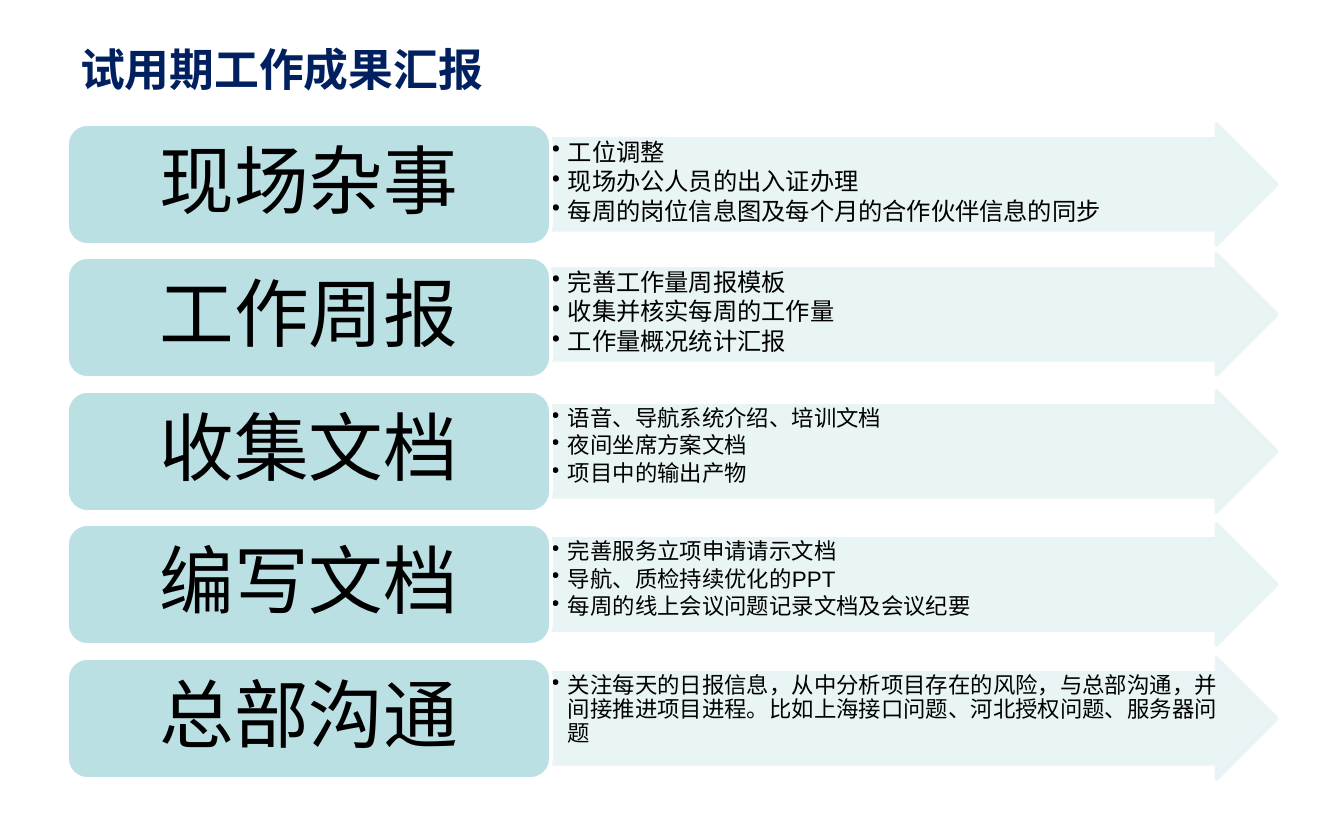
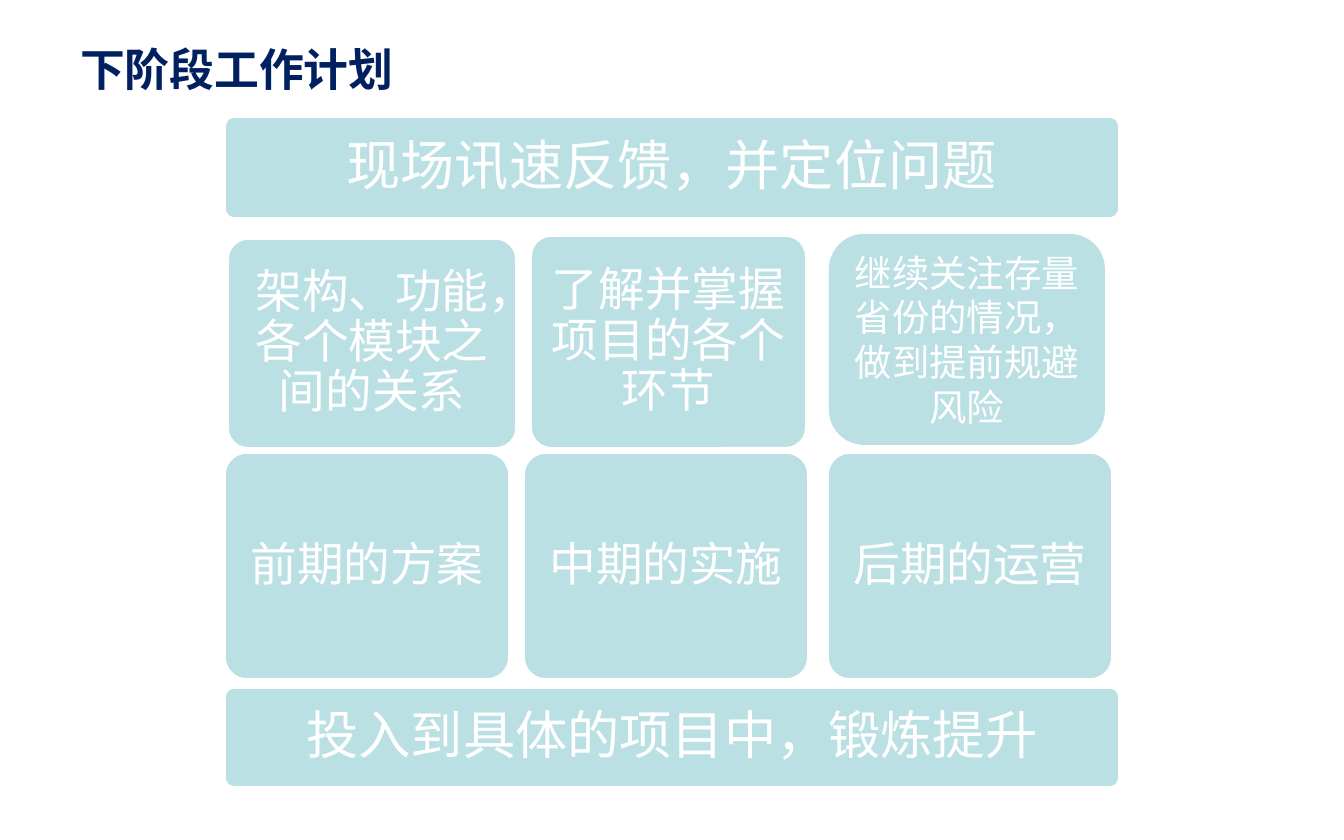
import dataclasses

import lxml.etree
import pptx
import pptx.dml.color
import pptx.enum.lang
import pptx.enum.shapes
import pptx.enum.text
import pptx.oxml.ns
import pptx.util

SHAPE = pptx.enum.shapes.MSO_SHAPE
ALIGN = pptx.enum.text.PP_ALIGN
ANCHOR = pptx.enum.text.MSO_ANCHOR
qn = pptx.oxml.ns.qn


@dataclasses.dataclass(frozen=True)
class Theme:
    # Colours
    navy: str = "002060"
    teal: str = "BBE0E3"
    pale: str = "E7F3F4"
    white: str = "FFFFFF"
    black: str = "000000"
    # Fonts and type sizes
    head: str = "Noto Sans CJK SC"
    body: str = "Arial"
    title: int = 24
    label: int = 40
    card: int = 25
    note: int = 20
    # Line width in points and opacity in percent
    line: int = 2
    alpha: int = 90


THEME = Theme()

# Label, points, point size, shift of the arrow against its label
ROWS = [
    ("现场杂事", ["工位调整", "现场办公人员的出入证办理",
              "每周的岗位信息图及每个月的合作伙伴信息的同步"], 13, 0),
    ("工作周报", ["完善工作量周报模板", "收集并核实每周的工作量",
              "工作量概况统计汇报"], 13, -3),
    ("收集文档", ["语音、导航系统介绍、培训文档", "夜间坐席方案文档",
              "项目中的输出产物"], 12, 0),
    ("编写文档", ["完善服务立项申请请示文档", "导航、质检持续优化的PPT",
              "每周的线上会议问题记录文档及会议纪要"], 12, 0),
    ("总部沟通", ["关注每天的日报信息，从中分析项目存在的风险，与总部沟通，"
              "并间接推进项目进程。比如上海接口问题、河北授权问题、服务器问题"], 12, 0),
]

# Text, box, point size, inset
BANDS = [
    ("现场讯速反馈，并定位问题", (224, 116, 896, 103), 29, 16),
    ("投入到具体的项目中，锻炼提升", (224, 687, 896, 101), 28, 16),
]
CARDS = [
    ("架构、功能，各个模块之间的关系", (227, 238, 290, 211), THEME.card, 13),
    ("了解并掌握项目的各个 环节", (530, 235, 277, 214), THEME.card, 13),
]
STAGES = [("前期的方案", 224), ("中期的实施", 523), ("后期的运营", 827)]


def px(n):
    """Turn pixels into EMU."""
    return pptx.util.Emu(round(n * 914400 / 134.4))


def rgb(code):
    return pptx.dml.color.RGBColor.from_string(code)


def style(para, size, color, font, bold=False):
    for run in para.runs:
        face = run.font
        face.size, face.bold, face.name = pptx.util.Pt(size), bold, font
        face.color.rgb = rgb(color)
        face.language_id = pptx.enum.lang.MSO_LANGUAGE_ID.SIMPLIFIED_CHINESE
        asian = lxml.etree.SubElement(run._r.rPr, qn("a:ea"))
        asian.set("typeface", font)


def frame(shape, across, down, anchor):
    """Set the insets and anchor of a shape's text."""
    text = shape.text_frame
    text.word_wrap = True
    text.margin_left = text.margin_right = px(across)
    text.margin_top = text.margin_bottom = px(down)
    text.vertical_anchor = anchor
    return text


def block(slide, kind, box, fill, line=None, ratios=()):
    shape = slide.shapes.add_shape(kind, *map(px, box))
    shape.shadow.inherit = False
    for i, ratio in enumerate(ratios):
        shape.adjustments[i] = ratio
    shape.fill.solid()
    shape.fill.fore_color.rgb = rgb(fill)
    if line:
        shape.line.color.rgb = rgb(line)
        shape.line.width = pptx.util.Pt(THEME.line)
    else:
        shape.line.fill.background()
    return shape


def fade(shape):
    """Make the fill and line slightly transparent."""
    for color in shape._element.spPr.iter(qn("a:srgbClr")):
        alpha = lxml.etree.SubElement(color, qn("a:alpha"))
        alpha.set("val", str(THEME.alpha * 1000))


def bullet(para):
    props = para._p.get_or_add_pPr()
    props.set("marL", str(px(16)))
    props.set("indent", str(-px(16)))
    lxml.etree.SubElement(props, qn("a:buChar")).set("char", "•")


def panel(slide, text, box, size, across, down, color=THEME.white,
          line=THEME.white, ratios=(), space=0.9):
    """Add a rounded box with centred text."""
    shape = block(slide, SHAPE.ROUNDED_RECTANGLE, box, THEME.teal, line, ratios)
    para = frame(shape, across, down, ANCHOR.MIDDLE).paragraphs[0]
    para.text = text
    para.alignment = ALIGN.CENTER
    para.line_spacing = space
    style(para, size, color, THEME.body)


def arrow(slide, items, box, size):
    """Add a wide arrow that holds a bullet list."""
    shape = block(slide, SHAPE.RIGHT_ARROW, box, THEME.pale, THEME.pale,
                  (0.75, 0.5))
    fade(shape)
    text = frame(shape, 1, 1, ANCHOR.TOP)
    text.text = "\n".join(items)
    for para in text.paragraphs:
        para.alignment = ALIGN.LEFT
        para.line_spacing = 0.9
        para.space_after = pptx.util.Pt(round(size * 0.15, 1))
        bullet(para)
        style(para, size, THEME.black, THEME.body)


def page(deck, name):
    """Add a slide with its title."""
    slide = deck.slides.add_slide(deck.slide_layouts[5])
    title = slide.shapes.title
    title.left, title.top, title.width, title.height = map(
        px, (67, 27, 762, 83))
    title.fill.solid()
    title.fill.fore_color.rgb = rgb(THEME.white)
    para = frame(title, 13, 7, ANCHOR.MIDDLE).paragraphs[0]
    para.text = name
    para.alignment = ALIGN.LEFT
    style(para, THEME.title, THEME.navy, THEME.head, bold=True)
    return slide


def results(deck):
    slide = page(deck, "试用期工作成果汇报")
    for i, (label, items, size, shift) in enumerate(ROWS):
        top = 124 + round(133.4 * i)
        arrow(slide, items, (551, top + shift, 726, 121), size)
        panel(slide, label, (67, top, 484, 121), THEME.label, 23, 11,
              THEME.black)


def plan(deck):
    slide = page(deck, "下阶段工作计划")
    for text, box, size, inset in BANDS + CARDS:
        panel(slide, text, box, size, inset, inset, ratios=(0.1,))
    for text, left in STAGES:
        panel(slide, text, (left, 452, 286, 228), THEME.card, 13, 13,
              ratios=(0.1,))
    # The last card is rounder and has no outline
    panel(slide, "继续关注存量省份的情况，做到提前规避风险", (829, 234, 276, 211),
          THEME.note, 13, 7, line=None, space=1.0)


def main():
    deck = pptx.Presentation()
    deck.slide_width, deck.slide_height = px(1344), px(840)
    results(deck)
    plan(deck)
    deck.save("out.pptx")


main()
